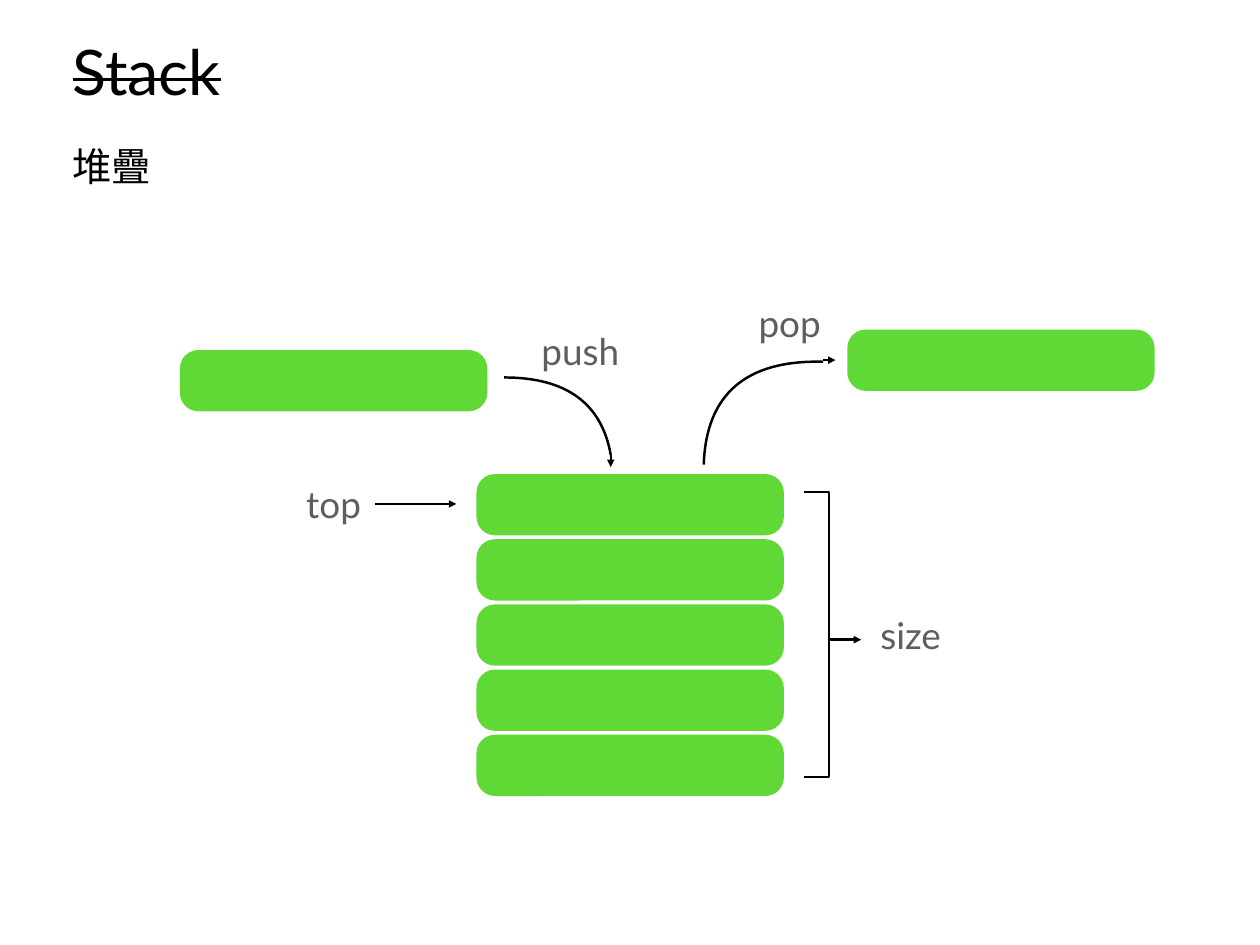
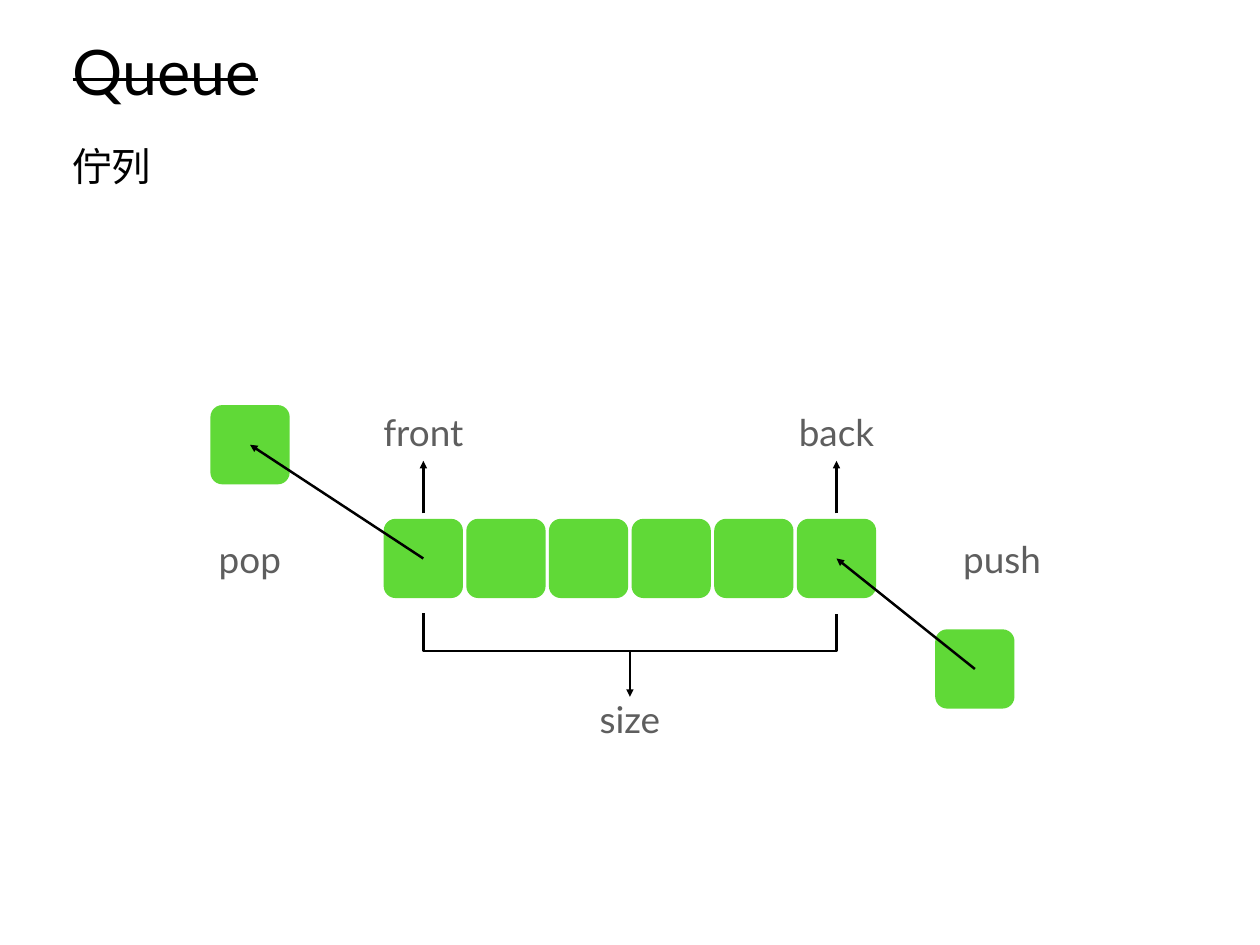
from lxml.etree import SubElement
from pptx import Presentation
from pptx.dml.color import RGBColor
from pptx.enum.shapes import MSO_CONNECTOR as Connector, MSO_SHAPE as Preset
from pptx.enum.text import MSO_ANCHOR as Anchor, PP_ALIGN as Align
from pptx.oxml.ns import qn
from pptx.util import Pt

# Shared style
SLIDE_SIZE = (1023.87, 767.87)
FONT = "Lato"
BLACK, GREY, GREEN = "000000", "5E5E5E", "60D937"
INSET, LINE_WIDTH = 4, 2
HEADING_LEFT, HEADING_WIDTH = 55, 913.6
LABEL_WIDTH, LABEL_HEIGHT = 90, 44

# Content: items are (left, top), labels are (text, centre x, centre y),
# arrows run from tail to head, curves are start, two handles, end
STACK_LEFT, STACK_TOP, STACK_PITCH, STACK_COUNT = 387.2, 385.2, 52.95, 5
QUEUE_LEFT, QUEUE_TOP, QUEUE_PITCH, QUEUE_COUNT = 311.8, 421.6, 67.15, 6
QUEUE_SIDE = 64.4
MIDDLE = QUEUE_SIDE / 2
queue_popped, queue_pushed = (171, 329.2), (760, 511.4)
queue_items = [(QUEUE_LEFT + i * QUEUE_PITCH, QUEUE_TOP)
               for i in range(QUEUE_COUNT)]


def centre(item):
    return item[0] + MIDDLE, item[1] + MIDDLE


front, back = centre(queue_items[0]), centre(queue_items[-1])
queue_middle = (front[0] + back[0]) / 2

SLIDES = [
    dict(
        title="Stack", subtitle="堆疊",
        item_size=(249.8, 49.8), rounding=0.3,
        items=[(STACK_LEFT, STACK_TOP + i * STACK_PITCH)
               for i in range(STACK_COUNT)] + [(146.2, 284.4), (688.5, 267.8)],
        labels=[("push", 471.6, 284.8), ("pop", 641.7, 262.4),
                ("top", 271.1, 409.3), ("size", 740, 515.6)],
        curves=[[(409.7, 306.7), (460.1, 306.7), (488.9, 327.6), (496.3, 369.6)],
                [(571.9, 377.5), (573.8, 320.4), (606.2, 292.3), (668.9, 294)]],
        bracket=[(653.2, 399.8), (673.8, 399.8),
                 (673.8, 631.6), (653.2, 631.6)],
        arrows=[((496.3, 369.6), (496.3, 379.6)),
                ((668.9, 292.6), (679, 292.6)),
                ((305.1, 409.5), (370.8, 409.5)),
                ((673.8, 519.8), (699.8, 519.8))],
    ),
    dict(
        title="Queue", subtitle="佇列",
        item_size=(QUEUE_SIDE, QUEUE_SIDE), rounding=0.15,
        items=queue_items + [queue_popped, queue_pushed],
        labels=[("pop", 203, 453.8), ("push", 814.3, 453.8),
                ("front", front[0], 351), ("back", back[0], 351),
                ("size", queue_middle, 584.3)],
        curves=[],
        bracket=[(front[0], 498.5), (front[0], 528.8),
                 (back[0], 528.8), (back[0], 498.8)],
        arrows=[(centre(queue_pushed), back), (front, centre(queue_popped)),
                ((front[0], 417.2), (front[0], 374.5)),
                ((back[0], 417.2), (back[0], 374.5)),
                ((queue_middle, 528.8), (queue_middle, 566.2))],
    ),
]


def color(hex_string):
    return RGBColor.from_string(hex_string)


def points(*lengths):
    return [Pt(length) for length in lengths]


def add_text(slide, text, box, size, ink, anchor=Anchor.TOP,
             align=Align.LEFT, spacing=1.0, strike=False):
    frame = slide.shapes.add_textbox(*points(*box)).text_frame
    frame.word_wrap = True
    frame.vertical_anchor = anchor
    frame.margin_left = frame.margin_right = Pt(INSET)
    frame.margin_top = frame.margin_bottom = Pt(INSET)
    paragraph = frame.paragraphs[0]
    paragraph.alignment, paragraph.line_spacing = align, spacing
    run = paragraph.add_run()
    run.text = text
    run.font.name, run.font.size = FONT, Pt(size)
    run.font.color.rgb = color(ink)
    if strike:
        run._r.get_or_add_rPr().set("strike", "sngStrike")


def style_line(line):
    line.color.rgb = color(BLACK)
    line.width = Pt(LINE_WIDTH)


def add_item(slide, position, size, rounding):
    item = slide.shapes.add_shape(Preset.ROUNDED_RECTANGLE,
                                  *points(*position, *size))
    item.adjustments[0] = rounding
    item.shadow.inherit = False
    item.fill.solid()
    item.fill.fore_color.rgb = color(GREEN)
    item.line.fill.background()


def add_outline(slide, vertices):
    start, *rest = [points(*vertex) for vertex in vertices]
    builder = slide.shapes.build_freeform(*start)
    builder.add_line_segments(rest, close=False)
    outline = builder.convert_to_shape()
    outline.shadow.inherit = False
    outline.fill.background()
    style_line(outline.line)
    return outline


def add_curve(slide, vertices):
    # The three segments after the start become one Bezier segment
    route = add_outline(slide, vertices).element.find(".//" + qn("a:path"))
    segments = route.findall(qn("a:lnTo"))
    bezier = SubElement(route, qn("a:cubicBezTo"))
    for segment in segments:
        bezier.append(segment[0])
        route.remove(segment)


def add_arrow(slide, tail, head):
    arrow = slide.shapes.add_connector(Connector.STRAIGHT,
                                       *points(*tail, *head))
    style_line(arrow.line)
    SubElement(arrow.line._get_or_add_ln(), qn("a:tailEnd"), type="triangle")
    SubElement(arrow.element.spPr, qn("a:effectLst"))


def build_slide(deck, content):
    slide = deck.slides.add_slide(deck.slide_layouts[6])
    # Heading
    add_text(slide, content["title"], (HEADING_LEFT, 34.6, HEADING_WIDTH, 80),
             51, BLACK, spacing=0.8, strike=True)
    add_text(slide, content["subtitle"],
             (HEADING_LEFT, 111.6, HEADING_WIDTH, 52.6), 32, BLACK)
    # Items, then the lines over them
    for position in content["items"]:
        add_item(slide, position, content["item_size"], content["rounding"])
    for vertices in content["curves"]:
        add_curve(slide, vertices)
    add_outline(slide, content["bracket"])
    for tail, head in content["arrows"]:
        add_arrow(slide, tail, head)
    # Labels
    for text, x, y in content["labels"]:
        box = (x - LABEL_WIDTH / 2, y - LABEL_HEIGHT / 2,
               LABEL_WIDTH, LABEL_HEIGHT)
        add_text(slide, text, box, 30, GREY, Anchor.MIDDLE, Align.CENTER)


def main():
    deck = Presentation()
    deck.slide_width, deck.slide_height = points(*SLIDE_SIZE)
    for content in SLIDES:
        build_slide(deck, content)
    deck.save("out.pptx")


if __name__ == "__main__":
    main()
